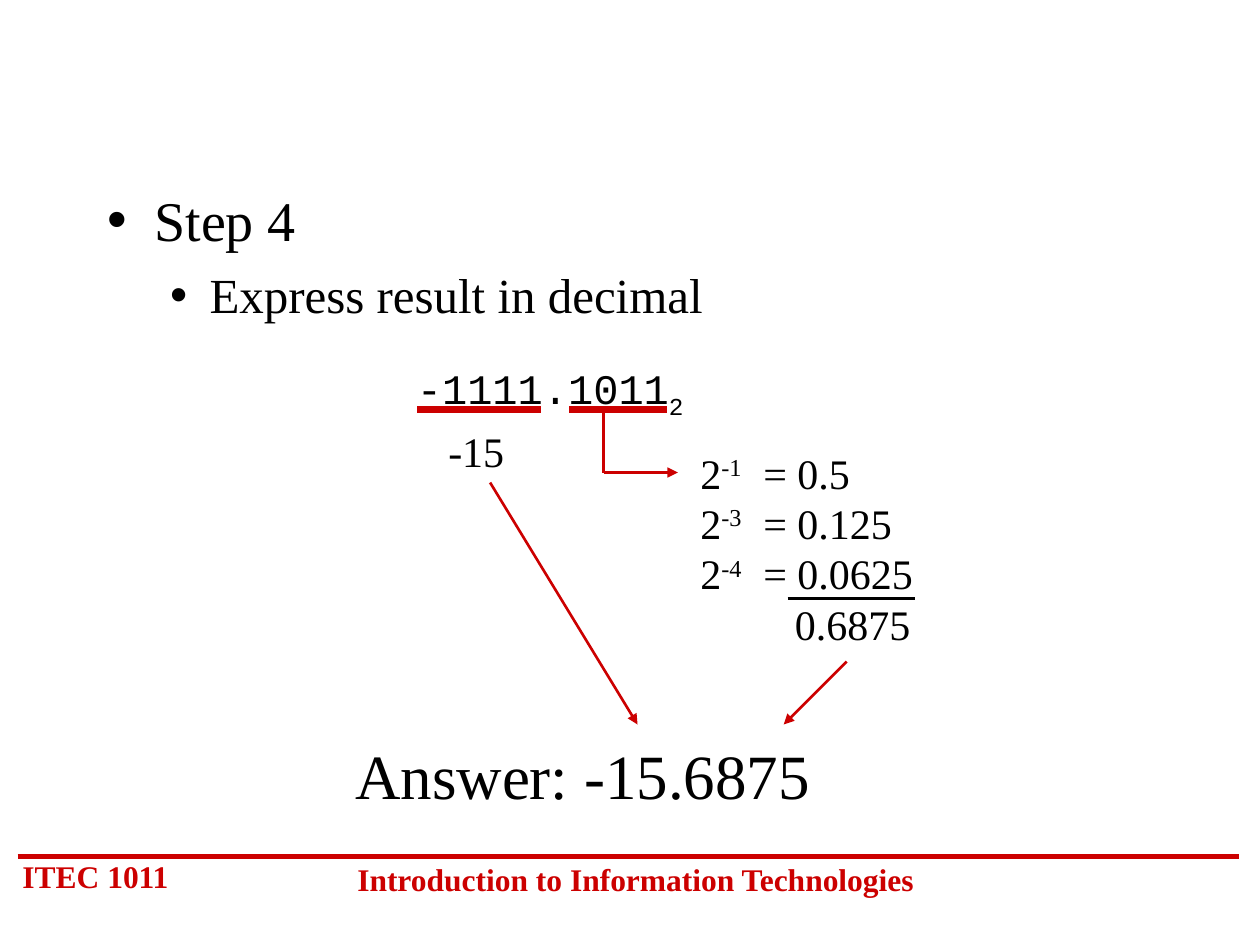
import collections

import pptx
import pptx.dml.color
import pptx.enum.shapes
import pptx.enum.text
import pptx.oxml.ns
import pptx.util
from lxml import etree

RED = pptx.dml.color.RGBColor(0xCC, 0x00, 0x00)
BLACK = pptx.dml.color.RGBColor(0x00, 0x00, 0x00)
SERIF = "Times New Roman"
MONO = "Courier New"
COLUMNS, ROWS = 100, 75
WIDTH, HEIGHT = pptx.util.Inches(10), pptx.util.Inches(7.5)

Box = collections.namedtuple("Box", "left top width height")


def across(columns):
    return round(WIDTH * columns / COLUMNS)


def down(rows):
    return round(HEIGHT * rows / ROWS)


def inside(box, left, top, width, height):
    return Box(box.left + left, box.top + top, width, height)


def add_element(parent, tag, **attributes):
    return etree.SubElement(parent, pptx.oxml.ns.qn(tag), attributes)


def place(shape, box):
    shape.left, shape.top = across(box.left), down(box.top)
    shape.width, shape.height = across(box.width), down(box.height)


def write(paragraph, text, *, size=24, font=SERIF, color=BLACK, bold=False,
          align=pptx.enum.text.PP_ALIGN.LEFT, before=0, bullet=None, tab=None):
    paragraph.alignment = align
    paragraph.space_before = pptx.util.Pt(before)
    properties = paragraph._p.get_or_add_pPr()
    if bullet:
        margin, hanging = bullet
        properties.set("marL", str(across(margin)))
        properties.set("indent", str(-across(hanging)))
        fill = add_element(properties, "a:buClr")
        add_element(fill, "a:srgbClr", val=str(BLACK))
        add_element(properties, "a:buChar", char="•")
    if tab:
        stops = add_element(properties, "a:tabLst")
        add_element(stops, "a:tab", pos=str(across(tab)), algn="l")
    pieces = [(text, 0)] if isinstance(text, str) else text
    for words, baseline in pieces:
        run = paragraph.add_run()
        run.text = words
        run.font.size = pptx.util.Pt(size)
        run.font.name = font
        run.font.bold = bold
        run.font.color.rgb = color
        if baseline:
            run._r.get_or_add_rPr().set("baseline", str(baseline * 1000))


def add_text(slide, box, *lines, **formatting):
    shape = slide.shapes.add_textbox(0, 0, 0, 0)
    place(shape, box)
    frame = shape.text_frame
    frame.word_wrap = True
    for index, (text, tab) in enumerate(lines):
        paragraph = frame.add_paragraph() if index else frame.paragraphs[0]
        write(paragraph, text, tab=tab, **formatting)


def add_line(slide, box, start, end, *, color=RED, width=1.5, arrow=False):
    line = slide.shapes.add_connector(
        pptx.enum.shapes.MSO_CONNECTOR.STRAIGHT,
        across(box.left + start[0]), down(box.top + start[1]),
        across(box.left + end[0]), down(box.top + end[1]))
    line.line.color.rgb = color
    line.line.width = pptx.util.Pt(width)
    if arrow:
        add_element(line.line._get_or_add_ln(), "a:tailEnd", type="triangle")
    add_element(line._element.spPr, "a:effectLst")


def add_footer(slide, box):
    add_line(slide, box, (0.6, 0.5), (97.5, 0.5), width=3)
    add_text(slide, inside(box, 0, 0, 15, 4), ("ITEC 1011", None),
             size=18, color=RED, bold=True)
    add_text(slide, inside(box, 25.9, 0.3, 47.5, 4),
             ("Introduction to Information Technologies", None),
             size=18, color=RED, bold=True, align=pptx.enum.text.PP_ALIGN.CENTER)


def fill_steps(slide, box):
    body = slide.placeholders[1]
    place(body, box)
    frame = body.text_frame
    frame.auto_size = pptx.enum.text.MSO_AUTO_SIZE.NONE
    write(frame.paragraphs[0], "Step 4", size=32, bullet=(3.75, 3.75))
    detail = frame.add_paragraph()
    detail.level = 1
    write(detail, "Express result in decimal", size=28, before=7,
          bullet=(8.13, 3.13))


def add_binary_number(slide, box):
    add_text(slide, inside(box, 0, 0, 25.1, 5.6),
             ([("-1111.1011", 0), ("2", -25)], None), font=MONO)
    for start, end in ((1, 10.8), (13.1, 20.8)):
        add_line(slide, box, (start, 4.2), (end, 4.2), width=4.5)
    add_text(slide, inside(box, 2.5, 5, 8, 5), ("-15", None))
    add_line(slide, box, (15.8, 4.2), (15.8, 9.2))
    add_line(slide, box, (15.8, 9.2), (21.7, 9.2), arrow=True)


def add_fraction_sum(slide, box):
    terms = (("-1", "0.5"), ("-3", "0.125"), ("-4", "0.0625"))
    rows = [([("2", 0), (power + "\t", 30), ("= " + value, 0)], 5)
            for power, value in terms]
    add_text(slide, box, *rows, ("\t0.6875", 7.5))
    add_line(slide, box, (7.9, 12.5), (18, 12.5), color=BLACK)


def add_answer(slide, box):
    add_text(slide, inside(box, 0, 19.7, 42, 7), ("Answer: -15.6875", None), size=36)
    add_line(slide, box, (11.7, 0), (23.4, 19.2), arrow=True)
    add_line(slide, box, (40, 14.2), (35, 19.2), arrow=True)


def main():
    presentation = pptx.Presentation()
    presentation.slide_width, presentation.slide_height = WIDTH, HEIGHT
    slide = presentation.slides.add_slide(presentation.slide_layouts[1])
    title = slide.shapes.title._element
    title.getparent().remove(title)
    fill_steps(slide, Box(7.5, 14.2, 85, 45))
    add_footer(slide, Box(0.8, 67.5, 98, 5))
    add_binary_number(slide, Box(32.1, 28.3, 25, 10))
    add_fraction_sum(slide, Box(54.6, 35, 22, 17))
    add_answer(slide, Box(27.2, 38.3, 42, 27))
    presentation.save("out.pptx")


if __name__ == "__main__":
    main()
